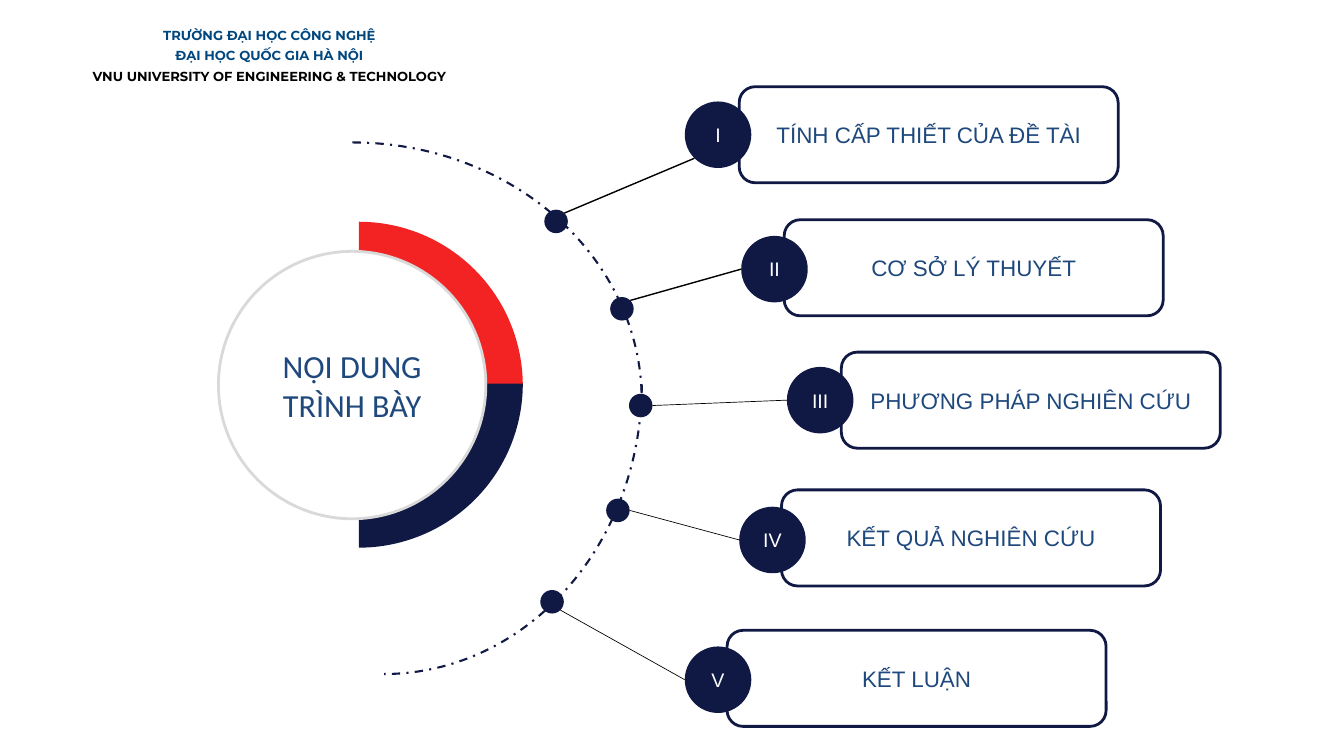
"""Agenda slide: a ring with a dotted arc leading to five numbered chapters."""
from dataclasses import dataclass
from math import cos, radians, sin

from lxml import etree
from pptx import Presentation
from pptx import util as u
from pptx.dml.color import RGBColor
from pptx.enum import dml, shapes, text
from pptx.oxml.ns import qn

COLUMNS, ROWS = 20, 11.25
DOT, BADGE = 0.35, 0.99
LABEL_W, LABEL_H = 5.64, 1.43
SHAPE = shapes.MSO_SHAPE


@dataclass(frozen=True)
class Theme:
    navy: str = "101844"
    red: str = "F32323"
    blue: str = "1F497D"
    school: str = "00477F"
    grey: str = "D9D9D9"
    white: str = "FFFFFF"
    black: str = "000000"
    title: float = 34.5
    label: float = 24
    numeral: float = 21
    header: float = 14
    title_font: str = "Calibri"
    body_font: str = "Arial"
    header_font: str = "Montserrat"


@dataclass(frozen=True)
class Chapter:
    numeral: str
    name: str
    dot: tuple
    badge: tuple
    label: tuple
    leave: float
    arrive: float
    weight: float


CHAPTERS = [
    Chapter("I", "TÍNH CẤP THIẾT CỦA ĐỀ TÀI", (8.1, 3.12), (10.19, 1.51), (11, 1.29), -45, 135, 1.5),
    Chapter("II", "CƠ SỞ LÝ THUYẾT", (9.08, 4.42), (11.03, 3.51), (11.67, 3.27), -45, 180, 1.5),
    Chapter("III", "PHƯƠNG PHÁP NGHIÊN CỨU", (9.36, 5.86), (11.71, 5.46), (12.52, 5.24), 0, 180, 0.75),
    Chapter("IV", "KẾT QUẢ NGHIÊN CỨU", (9.02, 7.42), (11, 7.54), (11.63, 7.29), 0, 180, 0.75),
    Chapter("V", "KẾT LUẬN", (8.04, 8.78), (10.19, 9.62), (10.82, 9.38), 45, 180, 0.75),
]


def rim(corner, size, angle):
    """Return the point at an angle, clockwise from the right, on a circle."""
    r = size / 2
    a = radians(angle)
    return corner[0] + r + r * cos(a), corner[1] + r + r * sin(a)


class Deck:
    """Hold the theme and the current slide, and draw each kind of element."""

    def __init__(self, prs, theme):
        """Add a title slide and work out the grid cell."""
        self.theme = theme
        self.cell_w = prs.slide_width / COLUMNS
        self.cell_h = prs.slide_height / ROWS
        self.s = prs.slides.add_slide(prs.slide_layouts[5])

    def place(self, *cells):
        """Turn alternating columns and rows into slide lengths."""
        return [round(c * (self.cell_h if i % 2 else self.cell_w)) for i, c in enumerate(cells)]

    def caption(self, sp, lines, size, color, font):
        """Put centred lines in a shape and return their paragraphs."""
        tf = sp.text_frame
        tf.word_wrap = True
        tf.auto_size = text.MSO_AUTO_SIZE.NONE
        tf.vertical_anchor = text.MSO_ANCHOR.MIDDLE
        tf.text = "\n".join(lines)
        for p in tf.paragraphs:
            p.alignment = text.PP_ALIGN.CENTER
            p.font.size = u.Pt(size)
            p.font.name = font
            p.font.color.rgb = RGBColor.from_string(color)
        return tf.paragraphs

    def shape(self, kind, box, fill=None, line=None, weight=3, turn=0):
        """Draw a preset shape with optional fill, outline and rotation."""
        sp = self.s.shapes.add_shape(kind, *self.place(*box))
        sp.shadow.inherit = False
        sp.rotation = turn
        if fill:
            sp.fill.solid()
            sp.fill.fore_color.rgb = RGBColor.from_string(fill)
        else:
            sp.fill.background()
        if line:
            sp.line.color.rgb = RGBColor.from_string(line)
            sp.line.width = u.Pt(weight)
        else:
            sp.line.fill.background()
        return sp

    def arc(self, box, turn):
        """Draw a dash-dotted quarter arc."""
        sp = self.shape(SHAPE.ARC, box, line=self.theme.navy, weight=2.25, turn=turn)
        sp.line.dash_style = dml.MSO_LINE.DASH_DOT

    def link(self, start, end, weight):
        """Draw a straight line between two grid points."""
        line = self.s.shapes.add_connector(
            shapes.MSO_CONNECTOR.STRAIGHT, *self.place(*start, *end))
        line.line.color.rgb = RGBColor.from_string(self.theme.black)
        line.line.width = u.Pt(weight)
        etree.SubElement(line._element.spPr, qn("a:effectLst"))

    def title(self, box, words):
        """Move the title placeholder to the front and fill it."""
        sp = self.s.shapes.title
        sp.left, sp.top, sp.width, sp.height = self.place(*box)
        self.s.shapes._spTree.append(sp._element)
        self.caption(sp, [words], self.theme.title, self.theme.blue, self.theme.title_font)

    def header(self, box, lines):
        """Show the school's name, its last line in black."""
        t = self.theme
        sp = self.s.shapes.add_textbox(*self.place(*box))
        paragraphs = self.caption(sp, lines, t.header, t.school, t.header_font)
        sp.text_frame.vertical_anchor = text.MSO_ANCHOR.TOP
        for p in paragraphs:
            p.font.bold = True
            p.line_spacing = 1.3
        paragraphs[-1].font.color.rgb = RGBColor.from_string(t.black)

    def chapter(self, c):
        """Draw a chapter's dot, line, label and numbered badge."""
        t = self.theme
        self.shape(SHAPE.OVAL, (*c.dot, DOT, DOT), t.navy)
        self.link(rim(c.dot, DOT, c.leave), rim(c.badge, BADGE, c.arrive), c.weight)
        label = self.shape(SHAPE.ROUNDED_RECTANGLE, (*c.label, LABEL_W, LABEL_H), line=t.navy)
        self.caption(label, [c.name], t.label, t.blue, t.body_font)
        badge = self.shape(SHAPE.OVAL, (*c.badge, BADGE, BADGE), t.navy)
        self.caption(badge, [c.numeral], t.numeral, t.white, t.body_font)


def main():
    """Build and save the slide."""
    prs = Presentation()
    prs.slide_width, prs.slide_height = u.Inches(20), u.Inches(11.25)
    theme = Theme()
    deck = Deck(prs, theme)

    deck.shape(SHAPE.PIE_WEDGE, (5.34, 3.3, 2.44, 2.44), theme.red, turn=90)
    deck.shape(SHAPE.PIE_WEDGE, (5.34, 5.71, 2.44, 2.44), theme.navy, turn=180)
    deck.shape(SHAPE.OVAL, (3.25, 3.74, 3.98, 3.98), theme.white, theme.grey)
    deck.title((3.83, 4.32, 2.82, 2.82), "NỘI DUNG TRÌNH BÀY")
    deck.arc((0.94, 2.12, 8.61, 7.67), 0)
    deck.arc((1.41, 1.89, 8.61, 7.67), 90)
    for c in CHAPTERS:
        deck.chapter(c)
    deck.header((1.2, 0.29, 5.62, 1), [
        "TRƯỜNG ĐẠI HỌC CÔNG NGHỆ",
        "ĐẠI HỌC QUỐC GIA HÀ NỘI",
        "VNU UNIVERSITY OF ENGINEERING & TECHNOLOGY",
    ])
    prs.save("out.pptx")


if __name__ == "__main__":
    main()
